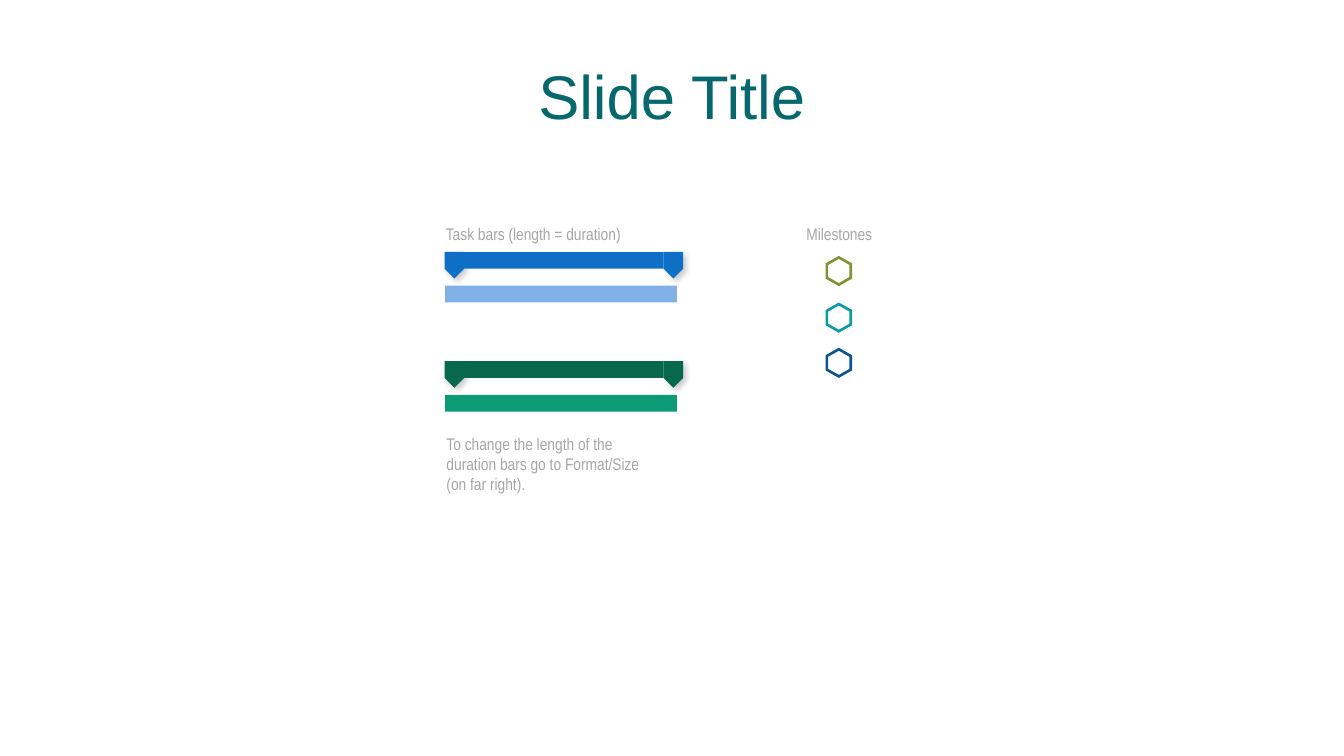
"""Build a slide with Gantt chart task bars and milestone markers."""
from lxml import etree
from pptx import Presentation
from pptx.dml.color import RGBColor
from pptx.enum.shapes import MSO_SHAPE as Shape
from pptx.enum.text import MSO_ANCHOR as Anchor, MSO_AUTO_SIZE as AutoSize, PP_ALIGN as Align
from pptx.oxml import parse_xml
from pptx.oxml.ns import nsdecls
from pptx.util import Pt

SHADOW = (
    f'<a:effectLst {nsdecls("a")}><a:outerShdw blurRad="50800" dist="38100" '
    'dir="2700000" algn="tl" rotWithShape="0"><a:srgbClr val="000000">'
    '<a:alpha val="20000"/></a:srgbClr></a:outerShdw></a:effectLst>'
)


def paint(shape, color):
    shape.shadow.inherit = False
    shape.fill.solid()
    shape.fill.fore_color.rgb = RGBColor.from_string(color)
    shape.line.fill.background()


def add_text(text, left, top, width, height, size, font, color, align):
    box = slide.shapes.add_textbox(Pt(left), Pt(top), Pt(width), Pt(height))
    frame = box.text_frame
    frame.word_wrap = True
    frame.text = text
    paragraph = frame.paragraphs[0]
    paragraph.alignment = align
    run_font = paragraph.runs[0].font
    run_font.size, run_font.name = Pt(size), font
    run_font.color.rgb = RGBColor.from_string(color)
    return frame


presentation = Presentation()
presentation.slide_width, presentation.slide_height = Pt(960), Pt(540)
slide = presentation.slides.add_slide(presentation.slide_layouts[6])

title = add_text("Slide Title", 66, 28.75, 828, 85, 44, "Arial", "06686C", Align.CENTER)
title.vertical_anchor = Anchor.MIDDLE
title.paragraphs[0].line_spacing = 0.9

labels = [
    ("Task bars (length = duration)", 306, 156.5, 150, 21.8, Align.CENTER),
    ("Milestones", 534.5, 156.5, 130, 21.8, Align.CENTER),
    ("To change the length of the duration bars go to Format/Size (on far right).",
     311.8, 306.2, 168, 50.9, Align.LEFT),
]
for text, left, top, width, height, align in labels:
    label = add_text(text, left, top, width, height, 12, "Arial Narrow", "A6A6A6", align)
    label.auto_size = AutoSize.SHAPE_TO_FIT_TEXT

for top, summary_color, task_color in [(180, "0F6FC6", "82B1E5"), (258, "08684E", "0C9B74")]:
    for left in (315, 471.5):
        bracket = slide.shapes.add_shape(Shape.PENTAGON, Pt(left), Pt(top + 2.6), Pt(19), Pt(13.8))
        bracket.rotation = 90
        paint(bracket, summary_color)
        properties = bracket.fill._xPr
        properties.replace(properties.find("{*}effectLst"), parse_xml(SHADOW))
    for left, offset, width, color in [(330, 0, 144, summary_color), (318, 24.1, 165.6, task_color)]:
        bar = slide.shapes.add_shape(Shape.RECTANGLE, Pt(left), Pt(top + offset), Pt(width), Pt(12))
        paint(bar, color)

center_x = 599.2
hexagon = [(0, 10.8), (-9.5, 5.4), (-9.5, -5.4), (0, -10.8), (9.5, -5.4), (9.5, 5.4)]
for center_y, color in [(193.6, "7E9632"), (226.9, "089CA3"), (259.2, "0B5394")]:
    outer, inner = [
        [(Pt(center_x + scale * x), Pt(center_y + scale * y)) for x, y in hexagon]
        for scale in (1, 0.8)
    ]
    builder = slide.shapes.build_freeform(*outer[0])
    builder.add_line_segments(outer[1:], close=True)
    builder.move_to(*inner[0])
    builder.add_line_segments(inner[1:], close=True)
    paint(builder.convert_to_shape(), color)

presentation.save("out.pptx")
